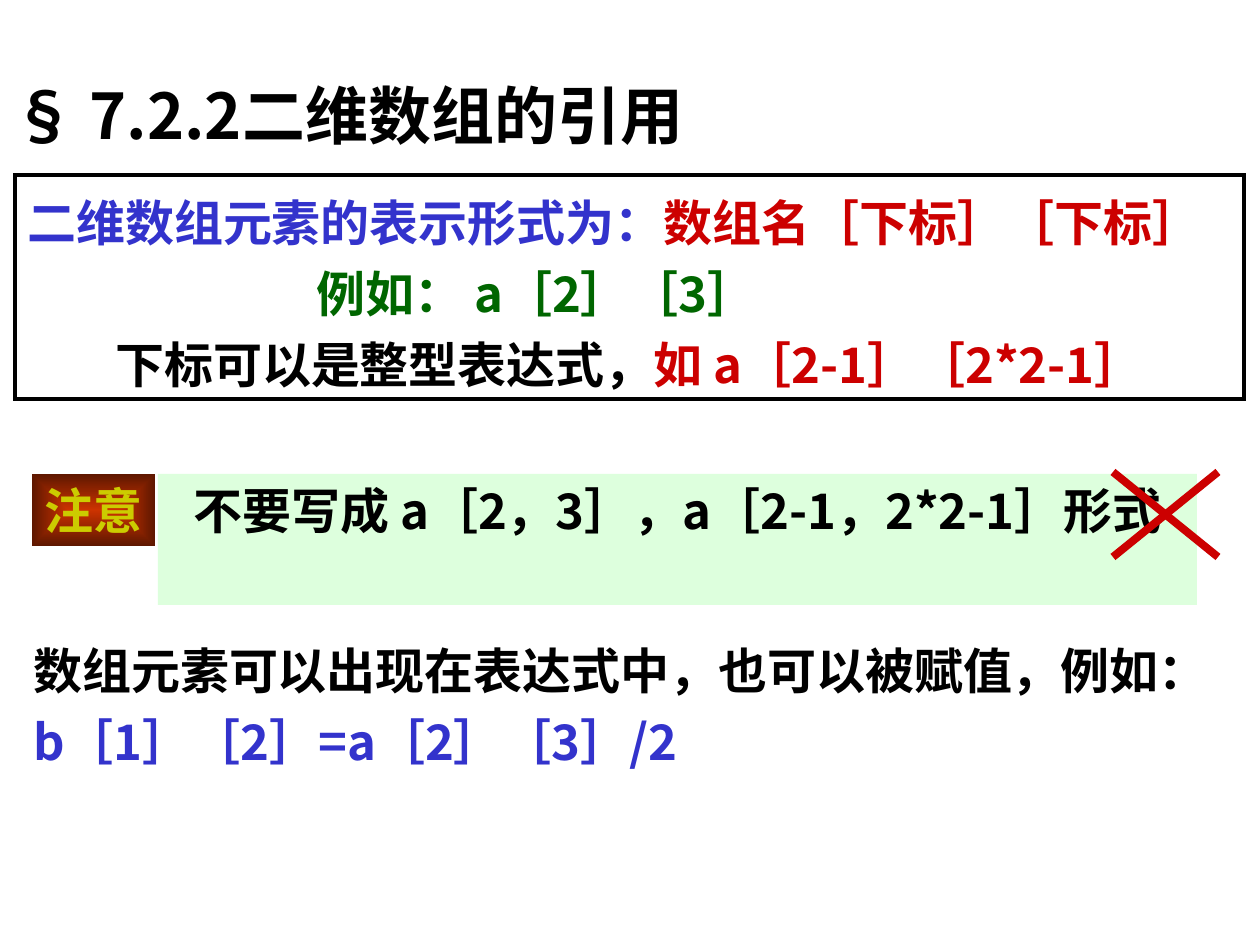
from lxml import etree
from pptx import Presentation, util as u
from pptx.dml.color import RGBColor
from pptx.enum import shapes, text
from pptx.oxml.ns import qn

PX_PER_INCH = 126
COLORS = {
    "black": "000000", "blue": "3333CC", "red": "CC0000", "green": "006600",
    "yellow": "CCCC00", "mint": "DDFFDD", "ember": "CC3300", "brown": "5E1700",
}
CJK = "Noto Sans CJK SC"


def px(n):
    return u.Emu(round(n * 914400 / PX_PER_INCH))


def color(name):
    return RGBColor.from_string(COLORS[name])


def write(sp, lines, size=28, font=CJK, align=None, spacing=None, wrap=True,
          anchor=text.MSO_ANCHOR.TOP, grow=True, side=None):
    tf = sp.text_frame
    tf.word_wrap = wrap
    tf.vertical_anchor = anchor
    tf.auto_size = text.MSO_AUTO_SIZE.SHAPE_TO_FIT_TEXT if grow else text.MSO_AUTO_SIZE.NONE
    if side is not None:
        tf.margin_left = tf.margin_right = px(side)
    for i, line in enumerate(lines):
        p = tf.add_paragraph() if i else tf.paragraphs[0]
        p.alignment = line.get("align", align) or text.PP_ALIGN.LEFT
        p.line_spacing = spacing
        if "indent" in line:
            p._p.get_or_add_pPr().set("marL", str(px(line["indent"])))
        for words, name in line["runs"]:
            r = p.add_run()
            r.text = words
            r.font.size, r.font.bold, r.font.name = u.Pt(size), True, font
            r.font.color.rgb = color(name)
            etree.SubElement(r._r.get_or_add_rPr(), qn("a:ea"), typeface=CJK)


class Deck:
    def __init__(self, width, height):
        self.prs = Presentation()
        self.prs.slide_width, self.prs.slide_height = px(width), px(height)
        self.s = self.prs.slides.add_slide(self.prs.slide_layouts[6])

    def text(self, x, y, w, h, lines, **fmt):
        sp = self.s.shapes.add_textbox(px(x), px(y), px(w), px(h))
        write(sp, lines, **fmt)

    def box(self, x, y, w, h, lines, fill=None, glow=None, line=None, **fmt):
        sp = self.s.shapes.add_shape(shapes.MSO_SHAPE.RECTANGLE, px(x), px(y), px(w), px(h))
        sp.shadow.inherit = False
        if glow:
            self.glow(sp, *glow)
        elif fill:
            sp.fill.solid()
            sp.fill.fore_color.rgb = color(fill)
        else:
            sp.fill.background()
        if line:
            sp.line.color.rgb, sp.line.width = color(line), u.Pt(2)
            etree.SubElement(sp.line._get_or_add_ln(), qn("a:miter"), lim="800000")
        else:
            sp.line.fill.background()
        write(sp, lines, **fmt)

    def glow(self, sp, inner, outer):
        sp.fill.gradient()
        for stop, name, position in zip(sp.fill.gradient_stops, (inner, outer), (0, 1)):
            stop.color.rgb, stop.position = color(name), position
        grad = sp._element.spPr.find(qn("a:gradFill"))
        grad.remove(grad.find(qn("a:lin")))
        center = etree.SubElement(grad, qn("a:path"), path="rect")
        etree.SubElement(center, qn("a:fillToRect"), l="50000", t="50000", r="50000", b="50000")

    def line(self, x1, y1, x2, y2, name, width):
        c = self.s.shapes.add_connector(shapes.MSO_CONNECTOR.STRAIGHT, px(x1), px(y1), px(x2), px(y2))
        c.line.color.rgb, c.line.width = color(name), u.Pt(width)
        etree.SubElement(c._element.spPr, qn("a:effectLst"))

    def cross(self, left, top, right, bottom, name, width):
        self.line(right, bottom, left, top, name, width)
        self.line(left, bottom, right, top, name, width)


def main():
    center = text.PP_ALIGN.CENTER
    deck = Deck(1260, 945)
    deck.box(15, 175, 1229, 224, [
        {"runs": [("二维数组元素的表示形式为：", "blue"), ("数组名［下标］［下标］", "red")]},
        {"runs": [("例如： a［2］［3］", "green")], "indent": 289},
        {"runs": [("下标可以是整型表达式，", "black"), ("如 a［2-1］［2*2-1］", "red")],
         "align": center},
    ], line="black", spacing=1.2)
    deck.text(21, 623, 1218, 154, [
        {"runs": [("数组元素可以出现在表达式中，也可以被赋值，例如：", "black"),
                  ("b［1］［2］=a［2］［3］/2", "blue")]},
    ], spacing=1.2)
    deck.box(32, 474, 123, 72, [{"runs": [("注意", "yellow")]}], glow=("ember", "brown"),
             font="Times New Roman", align=center, wrap=False, side=8)
    deck.box(158, 474, 1039, 131,
             [{"runs": [("不要写成 a［2，3］，a［2-1，2*2-1］形式", "black")]}],
             fill="mint", align=center)
    deck.cross(1113, 472, 1218, 557, "red", 4.5)
    deck.text(0, 63, 735, 102, [{"runs": [("§ 7.2.2二维数组的引用", "black")]}],
              size=36, anchor=text.MSO_ANCHOR.MIDDLE, grow=False)
    deck.prs.save("out.pptx")


if __name__ == "__main__":
    main()
